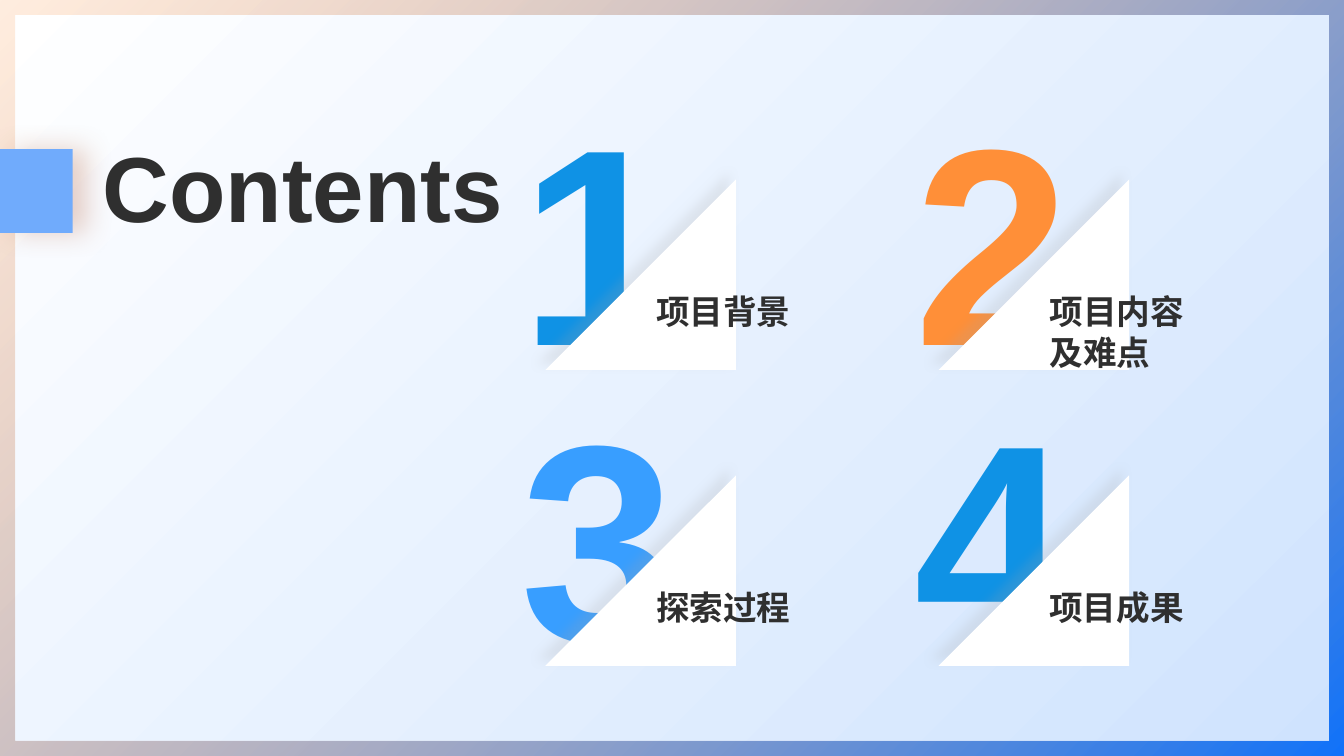
"""Build a contents slide with four numbered sections."""
import pptx
import pptx.dml.color
import pptx.enum.shapes
import pptx.enum.text
import pptx.oxml
import pptx.oxml.ns
import pptx.util
from pptx.util import Inches

NS = pptx.oxml.ns.nsdecls("a")
SHAPE = pptx.enum.shapes.MSO_SHAPE
INK = "2F2F2F"


def add_filled(kind, left, top, width, height, color, shadow=None):
    sp = slide.shapes.add_shape(kind, Inches(left), Inches(top), Inches(width), Inches(height))
    sp.fill.solid()
    sp.fill.fore_color.rgb = pptx.dml.color.RGBColor.from_string(color)
    sp.line.fill.background()
    sp.shadow.inherit = False
    if shadow:
        tint, alpha, blur, dist, angle = shadow
        effects = sp._element.spPr.find(pptx.oxml.ns.qn("a:effectLst"))
        effects.append(pptx.oxml.parse_xml(
            f'<a:outerShdw {NS} blurRad="{pptx.util.Pt(blur)}" dist="{pptx.util.Pt(dist)}" '
            f'dir="{angle * 60000}" algn="ctr" rotWithShape="0"><a:srgbClr val="{tint}">'
            f'<a:alpha val="{alpha * 1000}"/></a:srgbClr></a:outerShdw>'))
    return sp


def add_label(text, left, top, width, height, size, color):
    sp = slide.shapes.add_textbox(Inches(left), Inches(top), Inches(width), Inches(height))
    tf = sp.text_frame
    tf.word_wrap = True
    tf.text = text
    r = tf.paragraphs[0].runs[0]
    r.font.name = "Arial"
    r.font.size = pptx.util.Pt(size)
    r.font.bold = True
    r.font.color.rgb = pptx.dml.color.RGBColor.from_string(color)
    return tf


prs = pptx.Presentation()
prs.slide_width = Inches(13.33)
prs.slide_height = Inches(7.5)
slide = prs.slides.add_slide(prs.slide_layouts[6])

frame = add_filled(SHAPE.FRAME, 0, 0, 13.33, 7.5, "1173FA")
frame.adjustments[0] = 0.021

back = slide.background.fill
for fill, start, end, end_alpha in [(back, "CFE3FE", "FFFFFF", 100),
                                    (frame.fill, "1173FA", "FF8F38", 16)]:
    fill.gradient()
    fill.gradient_angle = 135
    for stop, color in zip(fill.gradient_stops, (start, end)):
        stop.color.rgb = pptx.dml.color.RGBColor.from_string(color)
        stop.position = 0 if color == start else 1
    if end_alpha < 100:
        srgb = frame._element.spPr.findall(".//" + pptx.oxml.ns.qn("a:srgbClr"))[-1]
        srgb.append(pptx.oxml.parse_xml(f'<a:alpha {NS} val="{end_alpha * 1000}"/>'))

add_label("Contents", 0.92, 1.24, 4.49, 1.21, 66, INK)

sections = [
    ("项目背景", "0F92E5", 2.3, 0.5),
    ("项目内容及难点", "FF8F38", 1.75, 0.91),
    ("探索过程", "389EFF", 2.3, 0.5),
    ("项目成果", "0F92E5", 2.3, 0.5),
]
for i, (title, color, width, height) in enumerate(sections):
    x = 4.96 + i % 2 * 3.9
    y = 0.58 + i // 2 * 2.935
    tf = add_label(str(i + 1), x, y, 1.96, 3.47, 200, color)
    tf.vertical_anchor = pptx.enum.text.MSO_ANCHOR.MIDDLE
    tf.paragraphs[0].alignment = pptx.enum.text.PP_ALIGN.CENTER
    triangle = add_filled(SHAPE.RIGHT_TRIANGLE, x + 0.45, y + 1.2, 1.89, 1.89, "FFFFFF",
                          ("A6A6A6", 20, 8, 7, 220))
    triangle._element.spPr.xfrm.set("flipH", "1")
    add_label(title, x + 1.45, y + 2.26, width, height, 24, INK)

add_filled(SHAPE.RECTANGLE, 0, 1.48, 0.72, 0.83, "70ABFC", ("B97052", 32, 20, 10, 0))

prs.save("out.pptx")
